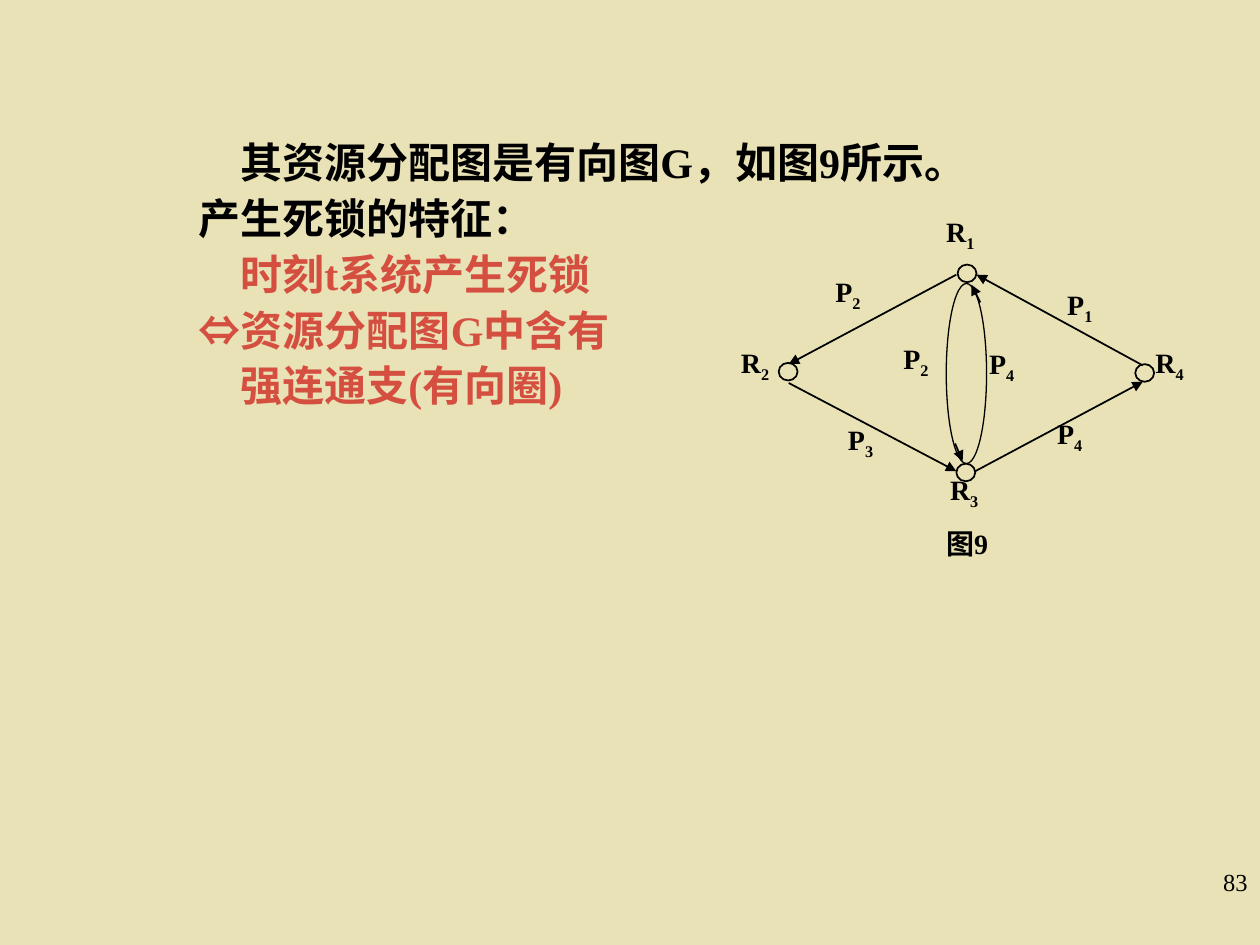
from lxml import etree
from pptx import Presentation
from pptx.dml.color import RGBColor
from pptx.enum.shapes import MSO_CONNECTOR, MSO_SHAPE
from pptx.enum.text import PP_ALIGN
from pptx.oxml.ns import qn
from pptx.util import Inches, Pt

LEFT, RIGHT, JUSTIFY = PP_ALIGN.LEFT, PP_ALIGN.RIGHT, PP_ALIGN.JUSTIFY
OVAL = MSO_SHAPE.OVAL
STRAIGHT = MSO_CONNECTOR.STRAIGHT
BLACK, RED, SAND = "000000", "D54F41", "E9E2B6"
NODE_SIZE = (0.15, 0.14)


def color(value):
    return RGBColor.from_string(value)


class SlideBuilder:
    font_name = "Times New Roman"

    def __init__(self, slide):
        self.slide = slide
        fill = slide.background.fill
        fill.solid()
        fill.fore_color.rgb = color(SAND)

    def text_box(self, left, top, width, height, margins=(0, 0), wrap=False):
        shape = self.slide.shapes.add_textbox(*map(Inches, (left, top, width, height)))
        frame = shape.text_frame
        horizontal, vertical = map(Inches, margins)
        frame_format = {"word_wrap": wrap,
                        "margin_left": horizontal, "margin_right": horizontal,
                        "margin_top": vertical, "margin_bottom": vertical}
        for name, value in frame_format.items():
            setattr(frame, name, value)
        return frame

    def run(self, paragraph, text, size, bold=True, fill=BLACK, font_name=None):
        run = paragraph.add_run()
        run.text = text
        font_format = {"name": font_name or self.font_name, "size": Pt(size), "bold": bold}
        for name, value in font_format.items():
            setattr(run.font, name, value)
        run.font.color.rgb = color(fill)
        return run

    def body(self, lines, *box):
        """Write lines given as (indent in inches, [(text, colour, font), ...])."""
        frame = self.text_box(*box, margins=(0.1, 0.05), wrap=True)
        for index, (indent, runs) in enumerate(lines):
            paragraph = frame.add_paragraph() if index else frame.paragraphs[0]
            paragraph.alignment = JUSTIFY
            paragraph.line_spacing = 0.9
            paragraph.space_before = Pt(6 if index else 0)
            paragraph._p.get_or_add_pPr().set("indent", str(Inches(indent)))
            for text, fill, font_name in runs:
                self.run(paragraph, text, 24, fill=fill, font_name=font_name)

    def page_number(self, number, *box):
        paragraph = self.text_box(*box, margins=(0.1, 0.05), wrap=True).paragraphs[0]
        paragraph.alignment = RIGHT
        self.run(paragraph, number, 14, bold=False)

    def label(self, text, left, top, width=0.32, subscript=""):
        paragraph = self.text_box(left, top, width, 0.3).paragraphs[0]
        paragraph.alignment = LEFT
        self.run(paragraph, text, 16)
        if subscript:
            run = self.run(paragraph, subscript, 16)
            run._r.get_or_add_rPr().set("baseline", "-25000")

    def ellipse(self, left, top, width, height, line_width=1):
        shape = self.slide.shapes.add_shape(OVAL, *map(Inches, (left, top, width, height)))
        shape.shadow.inherit = False
        shape.fill.background()
        shape.line.color.rgb = color(BLACK)
        shape.line.width = Pt(line_width)

    def arrow(self, *ends):
        connector = self.slide.shapes.add_connector(STRAIGHT, *map(Inches, ends))
        connector.line.color.rgb = color(BLACK)
        connector.line.width = Pt(1)
        properties = connector._element.spPr
        line = properties.find(qn("a:ln"))
        etree.SubElement(line, qn("a:tailEnd"), type="triangle")
        etree.SubElement(properties, qn("a:effectLst"))


def main():
    presentation = Presentation()
    presentation.slide_width = Inches(10)
    presentation.slide_height = Inches(7.5)
    slide = presentation.slides.add_slide(presentation.slide_layouts[6])
    builder = SlideBuilder(slide)

    one_character = 0.33
    builder.body([
        (one_character, [("其资源分配图是有向图G，如图9所示。", BLACK, None)]),
        (0, [("产生死锁的特征：", BLACK, None)]),
        (one_character, [("时刻t系统产生死锁", RED, None)]),
        (0, [("⇔", RED, "Arial"), ("资源分配图G中含有", RED, None)]),
        (one_character, [("强连通支(有向圈)", RED, None)]),
    ], 1.48, 1.08, 8.33, 6)
    builder.page_number("83", 7.92, 6.83, 2.08, 0.5)

    resource_nodes = [(7.6, 2.1), (6.18, 2.88), (7.59, 3.68), (9.01, 2.89)]
    for left, top in resource_nodes:
        builder.ellipse(left, top, *NODE_SIZE)
    builder.ellipse(7.51, 2.25, 0.32, 1.43, line_width=0.75)

    process_arrows = [
        (7.59, 2.18, 6.26, 2.89),
        (6.26, 3.04, 7.59, 3.74),
        (9.07, 2.9, 7.75, 2.18),
        (7.74, 3.74, 9.07, 3.03),
        (7.58, 3.52, 7.64, 3.66),
        (7.78, 2.4, 7.71, 2.26),
    ]
    for ends in process_arrows:
        builder.arrow(*ends)

    labels = [
        ("R1", 7.51, 1.7), ("R2", 5.88, 2.74), ("R3", 7.54, 3.75), ("R4", 9.17, 2.74),
        ("P1", 8.47, 2.28), ("P2", 6.63, 2.18), ("P2", 7.17, 2.71),
        ("P3", 6.73, 3.35), ("P4", 7.85, 2.75), ("P4", 8.39, 3.31),
    ]
    for (letter, number), left, top in labels:
        builder.label(letter, left, top, subscript=number)
    builder.label("图9", 7.51, 4.18, width=0.48)

    presentation.save("out.pptx")


if __name__ == "__main__":
    main()
